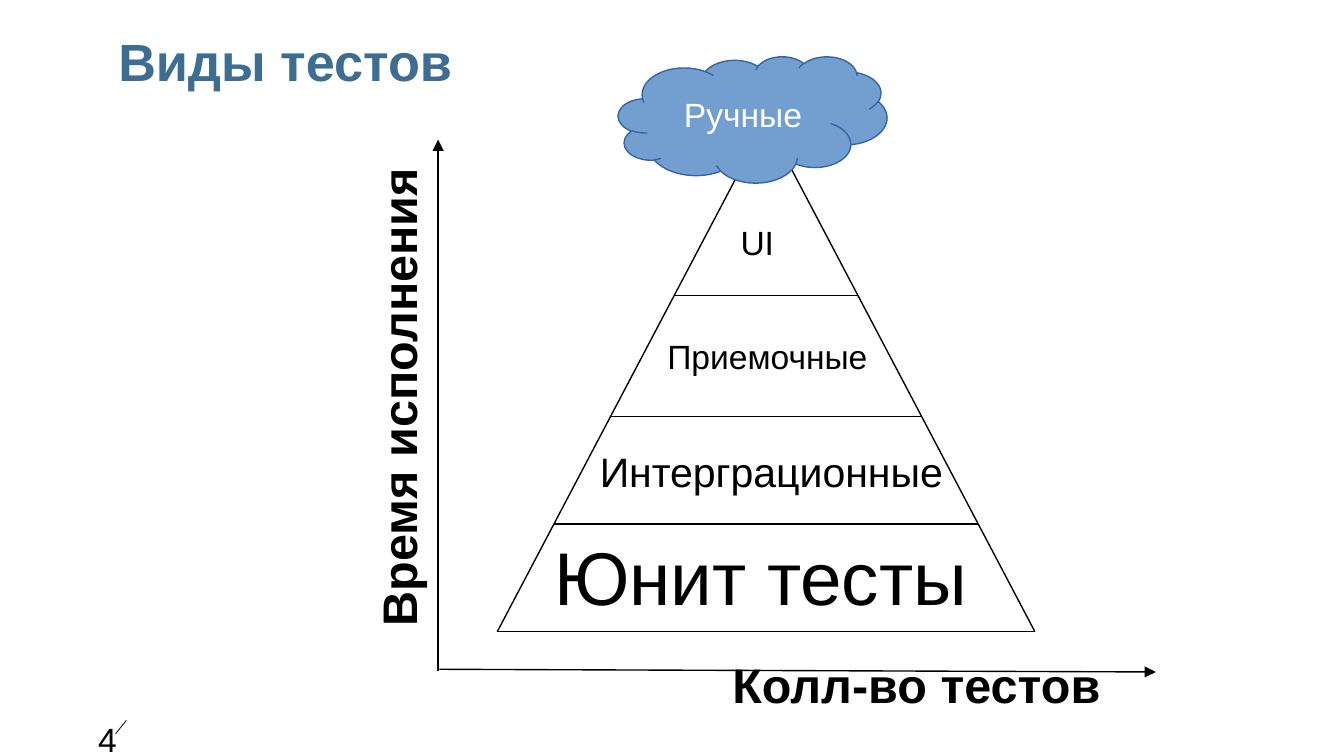
from lxml.etree import SubElement
from pptx import Presentation
from pptx.dml.color import RGBColor
from pptx.enum.shapes import MSO_CONNECTOR, MSO_SHAPE as SHAPE
from pptx.enum.text import MSO_ANCHOR as ANCHOR, PP_ALIGN as ALIGN
from pptx.oxml.ns import qn
from pptx.util import Pt

PX = 9144  # EMU in one px, 100 px to the inch
INK = {"title": "3E6D94", "black": "000000", "white": "FFFFFF",
       "cloud": "729FCF", "edge": "3465A4", "slash": "262626"}

# text, box, format; pad is left, top, right, bottom
AXIS = dict(size=26, bold=True, gap=0.94, pad=(10, 5, 0, 5))
LABELS = [
    ("4", (69, 533, 17, 24), dict(size=18, pad=(4, 2, 4, 2), wrap=True)),
    ("Виды тестов", (88, 22, 889, 47),
     dict(size=28, bold=True, color="title", pad=(0, 0, 0, 0), wrap=True)),
    ("Колл-во тестов", (535, 486, 292, 52), AXIS),
    ("Время исполнения", (108, 281, 360, 30), dict(AXIS, turn=270)),
]
LEVELS = [
    ("Юнит тесты", (396, 412, 340, 40), 40),
    ("Интерграционные", (470, 342, 208, 21), 22),
    ("Приемочные", (502, 256, 138, 21), 18),
    ("UI", (530, 172, 67, 20), 18),
]
CLOUD = ("Ручные", (460, 42, 200, 94), 18)
AXES = [((327, 498), (860, 500)), ((326, 499), (326, 104))]
SLASH = ((94, 536), (86, 546))
APEX = (570, 90)
BASE, HALF = 470, 200
FLOORS = [BASE, 390, 310, 220]

deck = Presentation()
deck.slide_width = 1000 * PX
deck.slide_height = deck.slide_width * 9 // 16
slide = deck.slides.add_slide(deck.slide_layouts[6])
shapes = slide.shapes


def rgb(name):
    return RGBColor.from_string(INK[name])


def scale(nums):
    return [round(n * PX) for n in nums]


def write(text, box, size, color="black", bold=False, pad=(10, 5, 10, 5),
          wrap=False, gap=None, turn=0, kind=None, fill="white", edge="white"):
    """Add a text box, or a filled shape with centred text if kind is given."""
    if kind is None:
        item = shapes.add_textbox(*scale(box))
    else:
        item = shapes.add_shape(kind, *scale(box))
        item.shadow.inherit = False
        item.fill.solid()
        item.fill.fore_color.rgb = rgb(fill)
        item.line.color.rgb = rgb(edge)
        item.line.width = Pt(0.75)
    item.rotation = turn
    frame = item.text_frame
    frame.word_wrap = wrap
    frame.vertical_anchor = ANCHOR.MIDDLE if kind else ANCHOR.TOP
    (frame.margin_left, frame.margin_top,
     frame.margin_right, frame.margin_bottom) = scale(pad)
    para = frame.paragraphs[0]
    para.alignment = ALIGN.CENTER if kind else ALIGN.LEFT
    if gap:
        para.line_spacing = gap
    run = para.add_run()
    run.text = text
    font = run.font
    font.name, font.size, font.bold = "Arial", Pt(size), bold
    font.color.rgb = rgb(color)


def draw(start, end, color="black", width=0.75, arrow=False):
    line = shapes.add_connector(MSO_CONNECTOR.STRAIGHT, *scale(start + end))
    line.line.color.rgb = rgb(color)
    line.line.width = Pt(width)
    props = line._element.spPr
    if arrow:
        SubElement(props.find(qn("a:ln")), qn("a:tailEnd"), type="triangle")
    SubElement(props, qn("a:effectLst"))


def edges(y):
    """Left and right points of the pyramid at height y."""
    reach = HALF * (y - APEX[1]) / (BASE - APEX[1])
    return (APEX[0] - reach, y), (APEX[0] + reach, y)


draw(*SLASH, color="slash", width=0.5)
for start, end in AXES:
    draw(start, end, arrow=True)
for text, box, style in LABELS:
    write(text, box, **style)
for text, box, size in LEVELS:
    write(text, box, size, gap=0.94, kind=SHAPE.RECTANGLE)

for corner in edges(BASE):
    draw(corner, APEX)
for y in FLOORS:
    draw(*edges(y))

text, box, size = CLOUD
write(text, box, size, color="white", gap=0.94, kind=SHAPE.CLOUD,
      fill="cloud", edge="edge")

deck.save("out.pptx")
